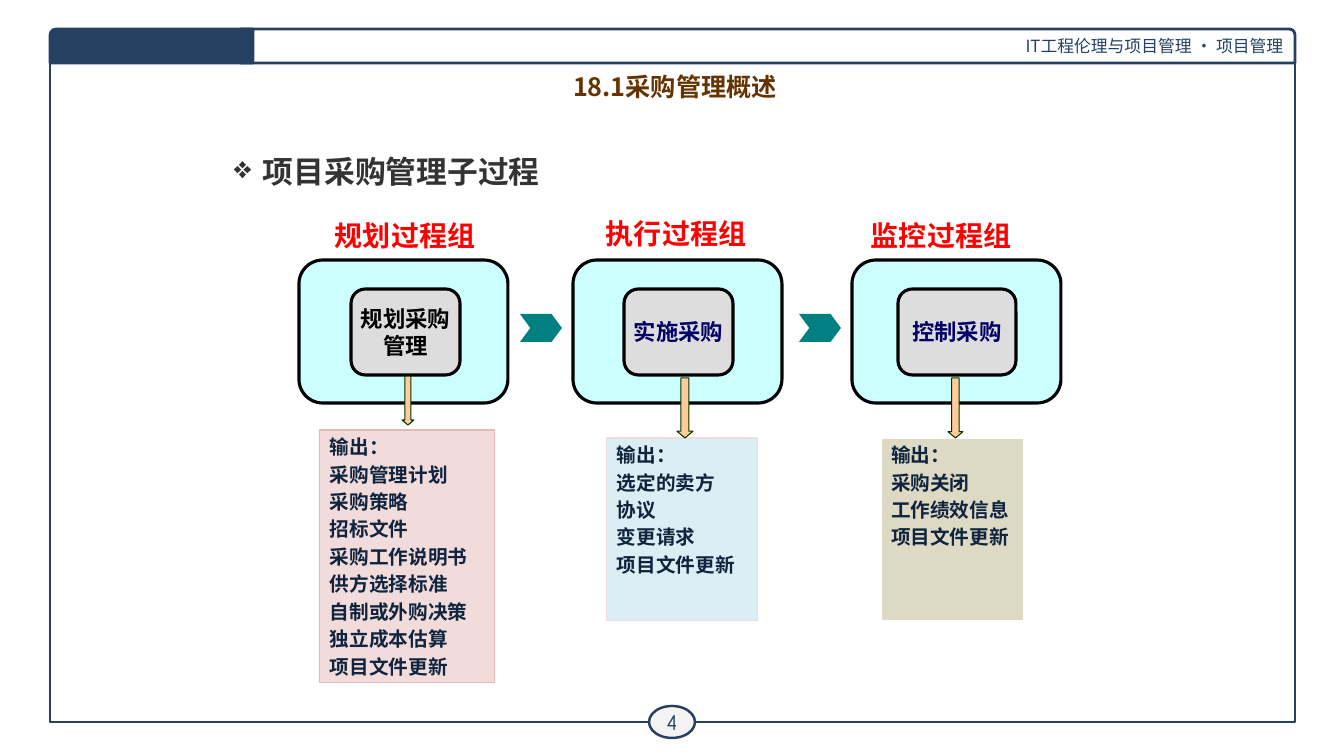
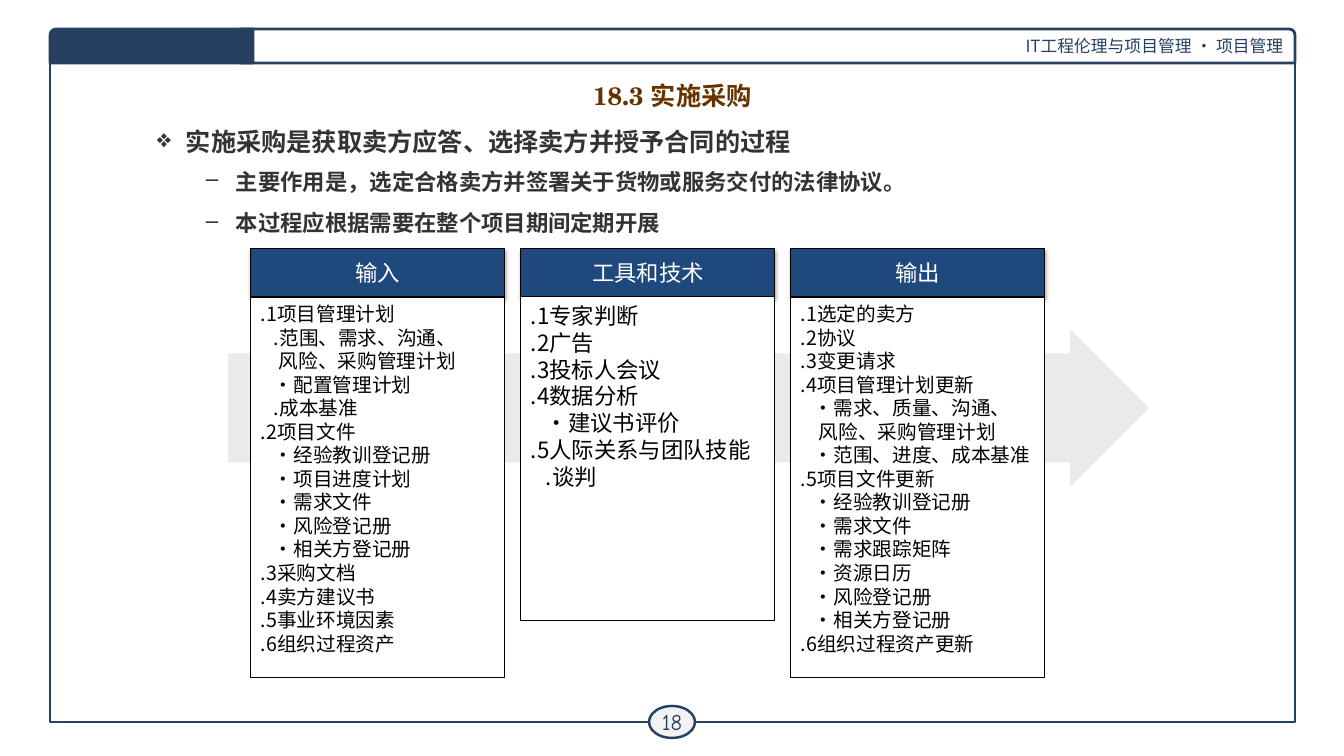
from lxml import etree
from pptx import Presentation
from pptx.dml.color import RGBColor
from pptx.enum.shapes import MSO_SHAPE
from pptx.enum.text import MSO_ANCHOR, MSO_AUTO_SIZE, PP_ALIGN
from pptx.oxml.ns import qn
from pptx.util import Pt

RECT, OVAL = MSO_SHAPE.RECTANGLE, MSO_SHAPE.OVAL
ROUND1, ROUND = MSO_SHAPE.ROUND_1_RECTANGLE, MSO_SHAPE.FLOWCHART_ALTERNATE_PROCESS
CHEVRON, DOWN, RIGHT = MSO_SHAPE.CHEVRON, MSO_SHAPE.DOWN_ARROW, MSO_SHAPE.RIGHT_ARROW
TOP, MID = MSO_ANCHOR.TOP, MSO_ANCHOR.MIDDLE
LEFT, CENTER, END = PP_ALIGN.LEFT, PP_ALIGN.CENTER, PP_ALIGN.RIGHT

WIDE, HIGH = 1344, 756
UNIT = 12192000 / WIDE
LEAD = 1.2  # line height over type size

SANS = "Noto Sans CJK SC"
THEME = {
    "navy": "254061", "white": "FFFFFF", "black": "000000", "badge": "F3F3F3",
    "title": "663300", "body": "333333", "red": "FF0000", "ink": "0F243E",
    "cyan": "CCFFFF", "gray": "DDDDDD", "blue": "000066", "teal": "008080",
    "peach": "FFCC99", "green": "003300", "head": "1F497D", "pale": "EAEAEA",
    "pink": "F2DCDB", "rose": "E6B9B8", "sky": "DBEEF4", "sand": "DDD9C3",
}
BASE = {"font": SANS, "size": 14, "bold": False, "color": "black", "align": LEFT,
        "anchor": TOP, "pad": (10, 5, 0, 5), "lead": 1, "before": 0, "after": 0,
        "left": 0, "hang": 0, "bullet": None}
FIT = {"align": CENTER, "anchor": MID, "pad": (0, 0, 0, 0)}
STYLE = {
    "title": {"size": 18, "bold": True, "color": "title", "align": CENTER},
    "band": {"size": 12, "color": "navy", "align": END, "anchor": MID,
             "pad": (10, 5, 10, 5)},
    "page": {**FIT, "font": "Comic Neue", "size": 16, "color": "navy"},
    "point": {"size": 22, "bold": True, "color": "body", "lead": 1.5,
              "left": 29, "hang": 29, "bullet": "❖"},
    "lead": {"font": "Cabin", "size": 18, "bold": True, "color": "body", "lead": 1.3,
             "after": 2.4, "left": 29, "hang": 29, "bullet": "❖"},
    "group": {"size": 20, "bold": True, "color": "red"},
    "step": {**FIT, "size": 16, "bold": True},
    "result": {"bold": True, "color": "ink", "before": 2.8},
    "head": {**FIT, "size": 16, "color": "white"},
}
SUB = {"size": 16, "before": 0.4, "after": 0.1, "left": 79, "hang": 30, "bullet": "–"}

BAND = "IT工程伦理与项目管理 · 项目管理"
STAGES = [
    {"group": "规划过程组", "spot": (325, 213), "x": 299, "step": ["规划采购", "管理"],
     "core": (351, 109), "ink": "black", "arrow": (402, 376, 12, 49),
     "box": (320, 430, 175, 253), "fill": "pink", "line": "rose",
     "list": ["采购管理计划", "采购策略", "招标文件", "采购工作说明书", "供方选择标准",
              "自制或外购决策", "独立成本估算", "项目文件更新"]},
    {"group": "执行过程组", "spot": (596, 211), "x": 573, "step": ["实施采购"],
     "core": (624, 109), "ink": "blue", "arrow": (677, 378, 16, 60),
     "box": (607, 438, 151, 183), "fill": "sky", "line": "pink",
     "list": ["选定的卖方", "协议", "变更请求", "项目文件更新"]},
    {"group": "监控过程组", "spot": (861, 213), "x": 852, "step": ["控制采购"],
     "core": (898, 118), "ink": "blue", "arrow": (948, 378, 15, 60),
     "box": (881, 438, 143, 183), "fill": "sand", "line": "white",
     "list": ["采购关闭", "工作绩效信息", "项目文件更新"]},
]
POINTS = [
    "实施采购是获取卖方应答、选择卖方并授予合同的过程",
    ("主要作用是，选定合格卖方并签署关于货物或服务交付的法律协议。", SUB),
    ("本过程应根据需要在整个项目期间定期开展", {**SUB, "lead": 1.5}),
]
COLUMNS = [
    ("输入", 14, 381, [
        ".1项目管理计划", ".范围、需求、沟通、", "风险、采购管理计划", "·配置管理计划",
        ".成本基准", ".2项目文件", "·经验教训登记册", "·项目进度计划", "·需求文件",
        "·风险登记册", "·相关方登记册", ".3采购文档", ".4卖方建议书",
        ".5事业环境因素", ".6组织过程资产"]),
    ("工具和技术", 16, 324, [
        ".1专家判断", ".2广告", ".3投标人会议", ".4数据分析", "·建议书评价",
        ".5人际关系与团队技能", ".谈判"]),
    ("输出", 14, 381, [
        ".1选定的卖方", ".2协议", ".3变更请求", ".4项目管理计划更新",
        "·需求、质量、沟通、", "风险、采购管理计划", "·范围、进度、成本基准",
        ".5项目文件更新", "·经验教训登记册", "·需求文件", "·需求跟踪矩阵",
        "·资源日历", "·风险登记册", "·相关方登记册", ".6组织过程资产更新"]),
]


def px(num):
    return round(num * UNIT)


def rgb(name):
    return RGBColor.from_string(THEME[name])


def add_para(para, words, look):
    props = para._p.get_or_add_pPr()
    if look["left"]:
        props.set("marL", str(px(look["left"])))
        props.set("indent", str(-px(look["hang"])))
    if look["bullet"]:
        etree.SubElement(props, qn("a:buChar"), char=look["bullet"])
    spacing = {"alignment": look["align"],
               "line_spacing": Pt(round(look["size"] * LEAD * look["lead"], 2)),
               "space_before": Pt(look["before"]), "space_after": Pt(look["after"])}
    for key, val in spacing.items():
        setattr(para, key, val)
    run = para.add_run()
    run.text = words
    for key, val in {"name": look["font"], "size": Pt(look["size"]),
                     "bold": look["bold"]}.items():
        setattr(run.font, key, val)
    run.font.color.rgb = rgb(look["color"])
    etree.SubElement(run._r.get_or_add_rPr(), qn("a:ea"), typeface=SANS)


def write(shape, lines, style, **more):
    """Fill a shape with lines; a line is a string or (string, style changes)."""
    look = {**BASE, **STYLE.get(style, {}), **more}
    frame = shape.text_frame
    frame.word_wrap = True
    frame.auto_size = MSO_AUTO_SIZE.NONE
    frame.vertical_anchor = look["anchor"]
    for side, pad in zip(("left", "top", "right", "bottom"), look["pad"]):
        setattr(frame, f"margin_{side}", px(pad))
    for i, line in enumerate(lines):
        words, diff = (line, {}) if isinstance(line, str) else line
        para = frame.add_paragraph() if i else frame.paragraphs[0]
        add_para(para, words, {**look, **diff, **({} if i else {"before": 0})})


def draw(slide, kind, box, fill=None, line=None, width=0.75, adj=()):
    shape = slide.shapes.add_shape(kind, *map(px, box))
    shape.shadow.inherit = False
    if fill:
        shape.fill.solid()
        shape.fill.fore_color.rgb = rgb(fill)
    else:
        shape.fill.background()
    if line:
        shape.line.color.rgb = rgb(line)
        shape.line.width = Pt(width)
    else:
        shape.line.fill.background()
    for i, val in enumerate(adj):
        shape.adjustments[i] = val
    return shape


def label(slide, box, lines, style):
    write(slide.shapes.add_textbox(*map(px, box)), lines, style)


def cast_shadow(shape):
    effects = shape.element.spPr.find(qn("a:effectLst"))
    outer = etree.SubElement(effects, qn("a:outerShdw"), blurRad=str(Pt(3.1)),
                             dist=str(Pt(1.8)), dir="5400000", rotWithShape="0")
    color = etree.SubElement(outer, qn("a:srgbClr"), val=THEME["black"])
    etree.SubElement(color, qn("a:alpha"), val="35000")


def dress(layout, slide):
    """Draw the shared frame and bands, then move them to the layout."""
    border = draw(slide, RECT, (50, 50, 1245, 672), None, "navy", 2)
    band = draw(slide, ROUND1, (240, 29, 1055, 34), "white", "navy", 2)
    write(band, [BAND], "band")
    tab = draw(slide, ROUND1, (50, 29, 203, 34), "navy", "navy", 2, (0.18,))
    tab.element.spPr.xfrm.set("flipH", "1")
    for i, part in enumerate((border, band, tab)):
        part.element.nvSpPr.cNvPr.set("id", str(100 + i))
        layout.shapes.element.append(part.element)


def start(deck, layout, title, box, page, font=SANS):
    slide = deck.slides.add_slide(layout)
    head = slide.shapes.title
    for key, val in zip(("left", "top", "width", "height"), box):
        setattr(head, key, px(val))
    write(head, [title], "title", font=font, pad=(10, 5, 10, 5))
    badge = draw(slide, OVAL, (649, 706, 46, 32), "badge", "navy", 1.75)
    write(badge, [page], "page")
    return slide


def draw_flow(slide):
    label(slide, (224, 129, 907, 70), ["项目采购管理子过程"], "point")
    for i, stage in enumerate(STAGES):
        label(slide, (*stage["spot"], 162, 44), [stage["group"]], "group")
        draw(slide, ROUND, (stage["x"], 260, 209, 143), "cyan", "black", 2.25)
        left, wide = stage["core"]
        core = draw(slide, ROUND, (left, 289, wide, 86), "gray", "black", 2.25)
        write(core, stage["step"], "step", color=stage["ink"])
        if i:
            draw(slide, CHEVRON, (stage["x"] - 53, 314, 42, 28), "teal", adj=(0.37,))
        result = draw(slide, RECT, stage["box"], stage["fill"], stage["line"])
        write(result, ["输出：", *stage["list"]], "result")
        draw(slide, DOWN, stage["arrow"], "peach", "green", adj=(0.5, 0.42))


def nest(words, size):
    """Indent by marker: none for numbers, more for sub-items and their wraps."""
    if words[0] == "." and words[1].isdigit():
        return words
    return words, {"left": round(size * (0.95 if words[0] in ".·" else 1.25))}


def draw_columns(slide):
    label(slide, (147, 112, 953, 137), POINTS, "lead")
    draw(slide, RIGHT, (228, 329, 921, 158), "pale", adj=(0.69, 0.5))
    for i, (name, size, high, items) in enumerate(COLUMNS):
        left = 251 + 270 * i
        head = draw(slide, RECT, (left, 249, 254, 48), "head", "black")
        cast_shadow(head)
        write(head, [name], "head")
        body = draw(slide, RECT, (left, 297, 254, high), "white", "black")
        write(body, [nest(item, size) for item in items], "list", size=size)


def main():
    deck = Presentation()
    deck.slide_width, deck.slide_height = px(WIDE), px(HIGH)
    layout = deck.slide_layouts[5]
    flow = start(deck, layout, "18.1采购管理概述", (70, 66, 1210, 39), "4")
    dress(layout, flow)
    draw_flow(flow)
    columns = start(deck, layout, "18.3 实施采购", (219, 75, 907, 48), "18",
                    "TeX Gyre Schola")
    draw_columns(columns)
    deck.save("out.pptx")


if __name__ == "__main__":
    main()
